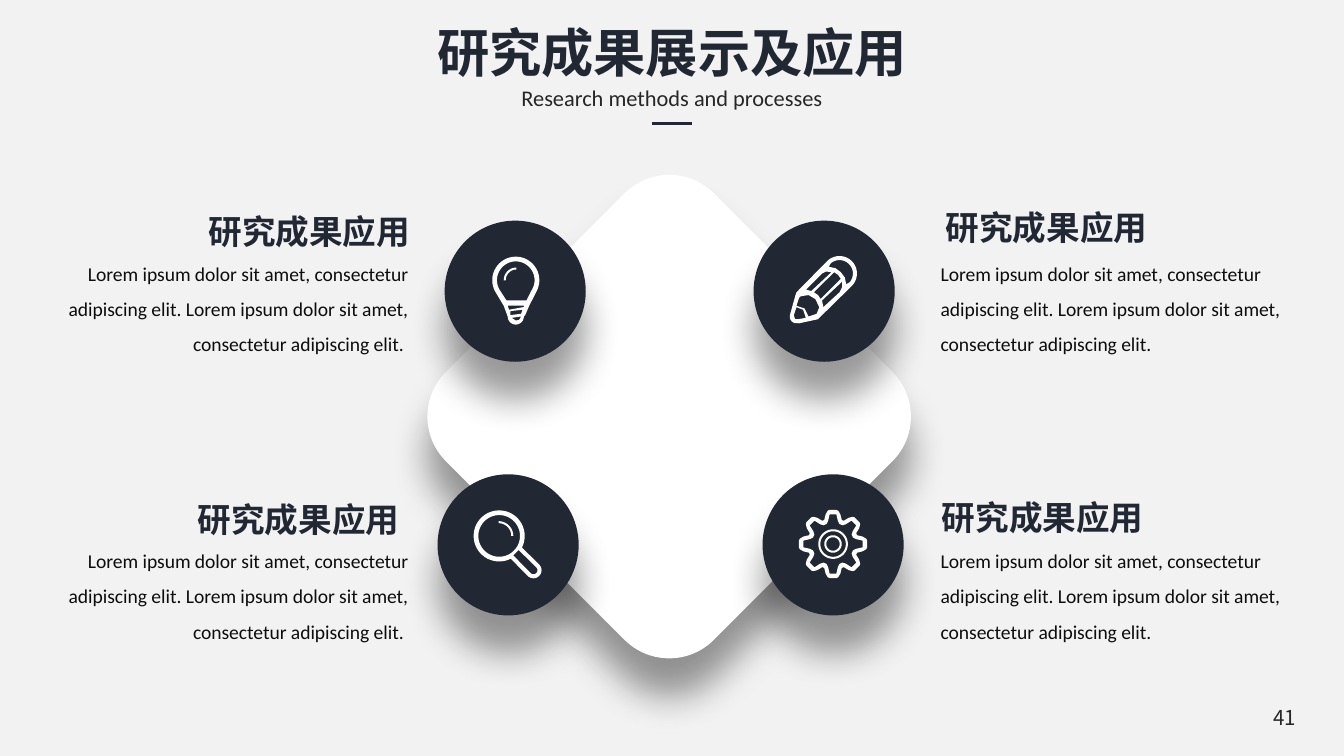
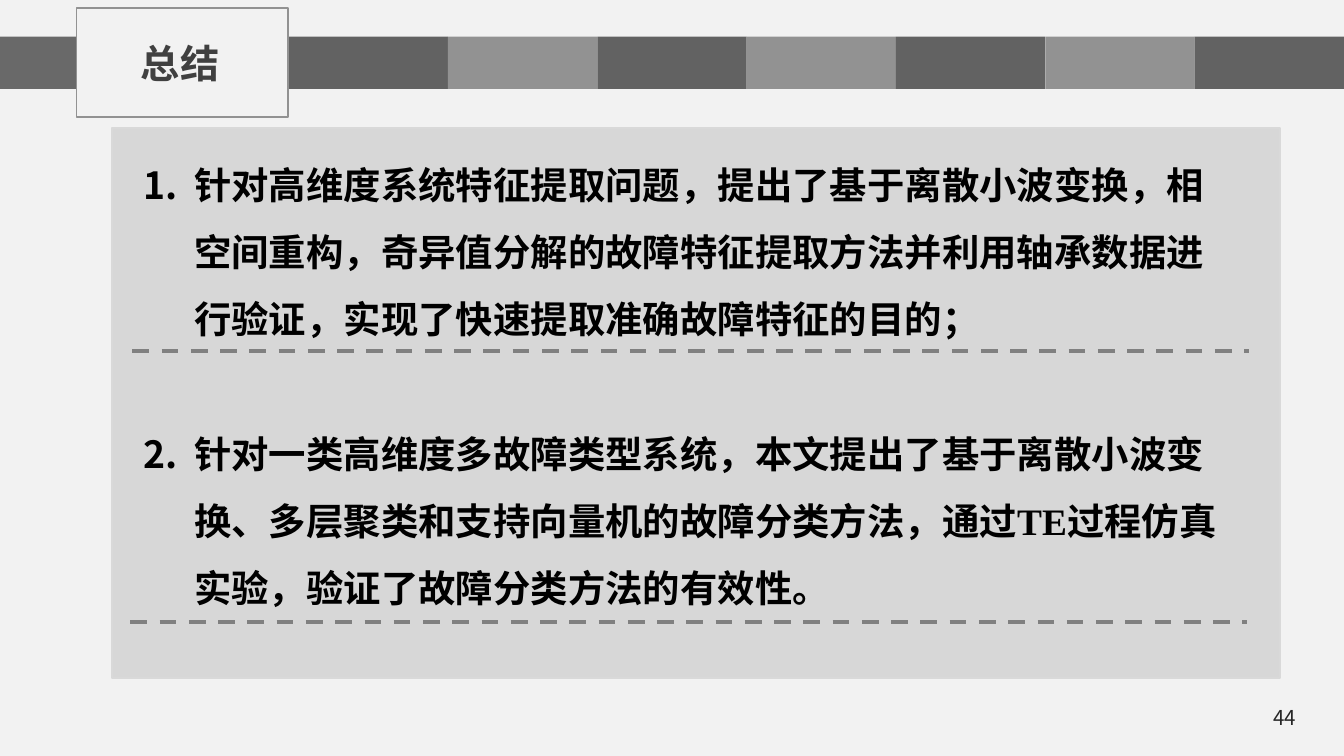
from dataclasses import dataclass
from math import cos, radians, sin

from lxml import etree
from pptx import Presentation
from pptx.dml.color import RGBColor
from pptx.enum.dml import MSO_LINE
from pptx.enum.shapes import MSO_CONNECTOR, MSO_SHAPE
from pptx.enum.text import MSO_ANCHOR, PP_ALIGN
from pptx.oxml.ns import qn
from pptx.util import Pt


@dataclass(frozen=True)
class Theme:
    background: str = "F2F2F2"
    navy: str = "212834"
    white: str = "FFFFFF"
    ink: str = "262626"
    body: str = "0D0D0D"
    black: str = "000000"
    tag: str = "404040"
    band_start: str = "696969"
    band_dark: str = "626262"
    band_light: str = "929292"
    panel: str = "D7D7D7"
    panel_edge: str = "D9D9D9"
    dash: str = "808080"
    cjk: str = "Noto Sans CJK SC"
    latin: str = "Calibri"
    serif: str = "Times New Roman"
    title_size: float = 28
    tag_size: float = 21
    summary_size: float = 20
    heading_size: float = 18
    subtitle_size: float = 12
    page_size: float = 11
    body_size: float = 10.5


THEME = Theme()
ICON_UNIT = 0.72
CIRCLE = 75.6
LOREM = ("Lorem ipsum dolor sit amet, consectetur adipiscing elit. "
         "Lorem ipsum dolor sit amet, consectetur adipiscing elit.")
SUMMARY = [
    "针对高维度系统特征提取问题，提出了基于离散小波变换，相空间重构，奇异值分解的故障特征提取方法"
    "并利用轴承数据进行验证，实现了快速提取准确故障特征的目的；",
    "针对一类高维度多故障类型系统，本文提出了基于离散小波变换、多层聚类和支持向量机的故障分类方法，"
    "通过TE过程仿真实验，验证了故障分类方法的有效性。",
]


def rgb(color):
    return RGBColor.from_string(color)


def add_child(parent, tag, **attributes):
    return etree.SubElement(parent, qn(tag), attributes)


def add_text(slide, box, paragraphs, *, size, color, font=THEME.cjk, bold=False,
             align=PP_ALIGN.LEFT, anchor=MSO_ANCHOR.TOP, wrap=True,
             inset=(7.2, 3.6), spacing=None, gap=0, number_indent=0):
    """Add a text box; number_indent makes a numbered list with that hanging indent."""
    frame = slide.shapes.add_textbox(*map(Pt, box)).text_frame
    frame.word_wrap = wrap
    frame.vertical_anchor = anchor
    frame.margin_left = frame.margin_right = Pt(inset[0])
    frame.margin_top = frame.margin_bottom = Pt(inset[1])
    for index, words in enumerate(paragraphs):
        paragraph = frame.paragraphs[0] if index == 0 else frame.add_paragraph()
        paragraph.alignment = align
        if spacing:
            paragraph.line_spacing = spacing
        if index and gap:
            paragraph.space_before = Pt(gap)
        if number_indent:
            properties = paragraph._p.get_or_add_pPr()
            properties.set("marL", str(Pt(number_indent)))
            properties.set("indent", str(-Pt(number_indent)))
            add_child(properties, "a:buFont", typeface=THEME.cjk)
            add_child(properties, "a:buAutoNum", type="arabicPeriod")
        run = paragraph.add_run()
        run.text = words
        run.font.name = font
        run.font.size = Pt(size)
        run.font.bold = bold
        run.font.color.rgb = rgb(color)
        add_child(run._r.get_or_add_rPr(), "a:ea", typeface=THEME.cjk)


def paint(shape, fill=None, edge=None, lifted=False):
    """Set fill and outline; lifted adds a soft shadow that falls straight down."""
    shape.shadow.inherit = False
    if fill:
        shape.fill.solid()
        shape.fill.fore_color.rgb = rgb(fill)
    else:
        shape.fill.background()
    if edge:
        shape.line.color.rgb = rgb(edge)
        shape.line.width = Pt(1)
    else:
        shape.line.fill.background()
    if lifted:
        effects = shape._element.spPr.find(qn("a:effectLst"))
        shadow = add_child(effects, "a:outerShdw", blurRad=str(Pt(20)), dist=str(Pt(20)),
                           dir="5400000", algn="t", rotWithShape="0")
        add_child(add_child(shadow, "a:srgbClr", val=THEME.black), "a:alpha", val="40000")


def add_block(slide, kind, box, **look):
    shape = slide.shapes.add_shape(kind, *map(Pt, box))
    paint(shape, **look)
    return shape


def add_rule(slide, left, right, y, color, width, dashed=False):
    rule = slide.shapes.add_connector(MSO_CONNECTOR.STRAIGHT, Pt(left), Pt(y), Pt(right), Pt(y))
    rule.line.color.rgb = rgb(color)
    rule.line.width = Pt(width)
    if dashed:
        rule.line.dash_style = MSO_LINE.DASH
    add_child(rule._element.spPr, "a:effectLst")


def polar(cx, cy, radius, angle):
    return cx + radius * cos(radians(angle)), cy + radius * sin(radians(angle))


def arc(cx, cy, radius, start, end):
    steps = max(8, int(abs(end - start) / 6))
    return [polar(cx, cy, radius, start + (end - start) * i / steps) for i in range(steps + 1)]


def ring(cx, cy, outer, inner):
    return [arc(cx, cy, outer, 0, 360), arc(cx, cy, inner, 0, 360)]


def glint(cx, cy, outer, inner, start, end):
    return [arc(cx, cy, outer, start, end) + arc(cx, cy, inner, end, start)]


def gear_outline(cx, cy, flank):
    """Repeat one tooth eight times; flank lists (radius, angle) from tip to valley."""
    tooth = [(r, -a) for r, a in reversed(flank)] + flank
    return [polar(cx, cy, r, a + 45 * i) for i in range(8) for r, a in tooth]


# Each icon is a list of outlines; each outline is a list of contours, inner ones being holes.
BULB = [
    [arc(17, 18, 17.5, 153, 387) + [(27, 37), (24, 44)] + arc(17, 45, 6, 0, 180) + [(8, 37)],
     arc(17, 18, 14, 145, 395) + [(25, 33), (10, 33)],
     [(12, 40), (11, 37), (23, 37), (23, 38)],
     [(13, 44), (13, 41), (22, 40), (21, 43)],
     [(14, 46), (21, 45), (19.5, 47.5), (17, 48)]],
    glint(17.5, 18, 9.5, 8, 180, 270),
]
PENCIL = [
    [arc(37, 13, 13, -135, 45) + [(23, 45), (21, 47), (7, 50)] + arc(5, 45, 5, 80, 190)
     + [(4, 30), (5, 27)],
     arc(37, 13, 10, -130, 40) + [(42, 21), (41, 16), (38, 12), (34, 9), (29, 8)],
     [(14, 45), (11, 39), (5, 37), (7, 31), (8, 30), (14, 29), (19, 32), (22, 38), (20, 43)],
     [(6, 47), (4, 47), (3, 44), (5, 38), (10, 40), (12, 46)],
     [(16, 26), (12, 25), (24, 13), (27, 11.5), (31, 12)],
     [(23, 32), (21, 29), (18, 27), (33, 12), (36, 14), (38, 17)],
     [(25, 38), (24, 33), (39, 19), (39, 23), (37, 27)]],
]
LENS = [
    [arc(19.5, 19.5, 19, 63, 387) + arc(45, 45, 6, -45, 135),
     arc(19.5, 19.5, 15.5, 0, 360),
     arc(45, 45, 3, -45, 135) + [(30, 34), (34, 30)]],
    glint(19, 19.5, 11, 9.5, -90, 0),
]
GEAR = [
    [gear_outline(25, 25.5, [(25.5, 6), (25, 9), (22.7, 14), (19, 20)]),
     gear_outline(25, 25.5, [(22.2, 6.5), (17.5, 12), (15.6, 18)])],
    ring(25, 25.5, 11, 9.5),
    ring(25, 25.5, 6.5, 5),
]


def add_icon(slide, left, top, outlines):
    for contours in outlines:
        points = [[(Pt(x * ICON_UNIT), Pt(y * ICON_UNIT)) for x, y in contour]
                  for contour in contours]
        builder = slide.shapes.build_freeform(*points[0][0])
        for index, contour in enumerate(points):
            if index:
                builder.move_to(*contour[0])
            builder.add_line_segments(contour[1:], close=True)
        paint(builder.convert_to_shape(Pt(left), Pt(top)), THEME.white)


def new_slide(deck, page):
    slide = deck.slides.add_slide(deck.slide_layouts[6])
    slide.background.fill.solid()
    slide.background.fill.fore_color.rgb = rgb(THEME.background)
    add_text(slide, (539.5, 373.5, 162, 21.6), [page], size=THEME.page_size, color=THEME.ink,
             align=PP_ALIGN.RIGHT, anchor=MSO_ANCHOR.MIDDLE)
    return slide


def add_title(slide, box, title, subtitle):
    left, top, width, height = box
    center = left + width / 2
    add_text(slide, (left, top, width, 41), [title], size=THEME.title_size, color=THEME.navy,
             bold=True, align=PP_ALIGN.CENTER, wrap=False)
    add_text(slide, (left, top + 34.6, width, 21.6), [subtitle], size=THEME.subtitle_size,
             color=THEME.ink, font=THEME.latin, align=PP_ALIGN.CENTER, wrap=False)
    add_rule(slide, center - 10.8, center + 10.8, top + height, THEME.navy, 1.5)


def add_topic(slide, box, heading_offset, words, align):
    """Place a heading, shifted by heading_offset, above its body text."""
    left, top, width, height = box
    dx, dy, heading_width = heading_offset
    add_text(slide, (left + dx, top + dy, heading_width, 28.8), ["研究成果应用"],
             size=THEME.heading_size, color=THEME.navy, bold=True, align=align)
    add_text(slide, box, [words], size=THEME.body_size, color=THEME.body, font=THEME.latin,
             align=align, inset=(2.16, 3.6), spacing=1.5)


def add_badge(slide, left, top, icon, icon_dx):
    add_block(slide, MSO_SHAPE.OVAL, (left, top, CIRCLE, CIRCLE), fill=THEME.navy, lifted=True)
    add_icon(slide, left + icon_dx, top + 19, icon)


def build_results(deck):
    slide = new_slide(deck, "41")
    diamond = add_block(slide, MSO_SHAPE.ROUNDED_RECTANGLE, (257, 121.7, 203, 203),
                        fill=THEME.white, lifted=True)
    diamond.rotation = 45
    add_title(slide, (225.4, 7.2, 269.3, 59), "研究成果展示及应用",
              "Research methods and processes")

    left, right, upper, lower = 7.2, 501.8, 130.3, 284.4
    topics = [
        (right, upper, (-2.2, -23, 134.6), LOREM, PP_ALIGN.LEFT),
        (right, lower, (-4.3, -21.6, 141), LOREM, PP_ALIGN.LEFT),
        (left, upper, (92.9, -20.9, 126.7), LOREM + " ", PP_ALIGN.RIGHT),
        (left, lower, (87.1, -20.9, 126.7), LOREM + " ", PP_ALIGN.RIGHT),
    ]
    for x, y, heading_offset, words, align in topics:
        add_topic(slide, (x, y, 213.8, 62.6), heading_offset, words, align)

    for x, y, icon, icon_dx in [(403.7, 118.2, PENCIL, 19.4), (238.2, 118.2, BULB, 25.9),
                                (408.5, 254.1, GEAR, 19.8), (234.4, 254.1, LENS, 19)]:
        add_badge(slide, x, y, icon, icon_dx)


def add_tag_band(slide, box, tag_left, tag_right, title):
    """Draw the checkered band, leaving a gap that the framed title fills."""
    left, top, width, height = box
    step = width / 9
    bands = [(0, tag_left, THEME.band_start), (tag_right, 3 * step, THEME.band_dark)]
    bands += [(i * step, (i + 1) * step, THEME.band_light if i % 2 else THEME.band_dark)
              for i in range(3, 9)]
    for start, end, color in bands:
        add_block(slide, MSO_SHAPE.RECTANGLE, (left + start, top, end - start, height), fill=color)
    add_text(slide, (left + tag_left + 29.5, top - 1.5, 64.8, 31), [title], size=THEME.tag_size,
             color=THEME.tag, bold=True, inset=(5, 2.9))
    add_block(slide, MSO_SHAPE.RECTANGLE,
              (left + tag_left, top - 15.2, tag_right - tag_left, 58.3), edge=THEME.band_light)


def add_summary(slide, box, points):
    left, top, width, height = box
    add_block(slide, MSO_SHAPE.RECTANGLE, box, fill=THEME.panel, edge=THEME.panel_edge)
    add_text(slide, (left + 10.1, top + 2.9, 597.6, 262), points, size=THEME.summary_size,
             color=THEME.black, font=THEME.serif, bold=True, spacing=1.5, gap=36,
             number_indent=27)
    for dx, dy in [(11, 119.8), (10, 265)]:
        add_rule(slide, left + dx, left + dx + 598, top + dy, THEME.dash, 2.25, dashed=True)


def build_conclusion(deck):
    slide = new_slide(deck, "44")
    add_tag_band(slide, (0, 19.7, 720, 28), 41, 154.5, "总结")
    add_summary(slide, (59.9, 68.4, 625.7, 295), SUMMARY)


def main():
    deck = Presentation()
    deck.slide_width, deck.slide_height = Pt(720), Pt(405)
    build_results(deck)
    build_conclusion(deck)
    deck.save("out.pptx")


if __name__ == "__main__":
    main()
